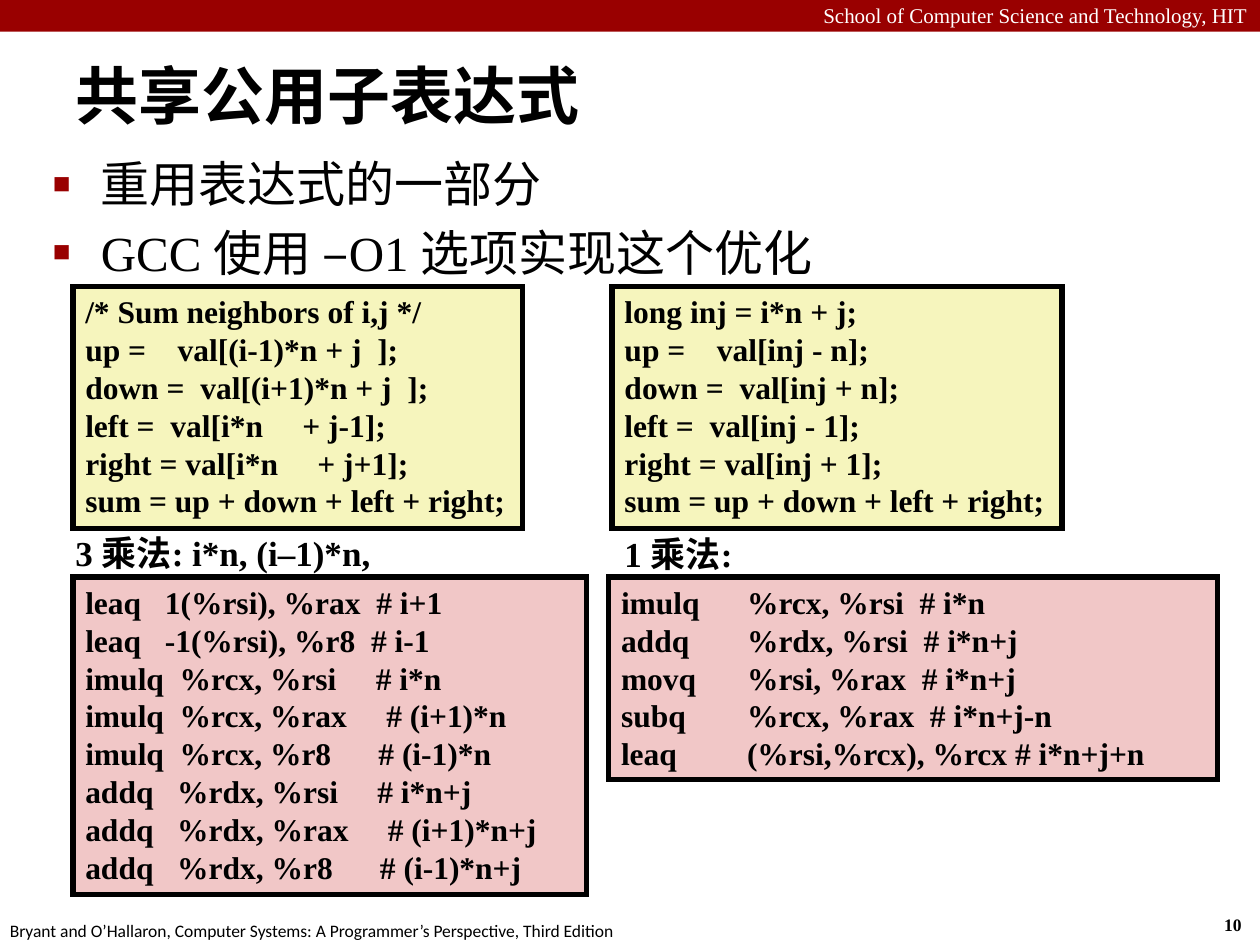
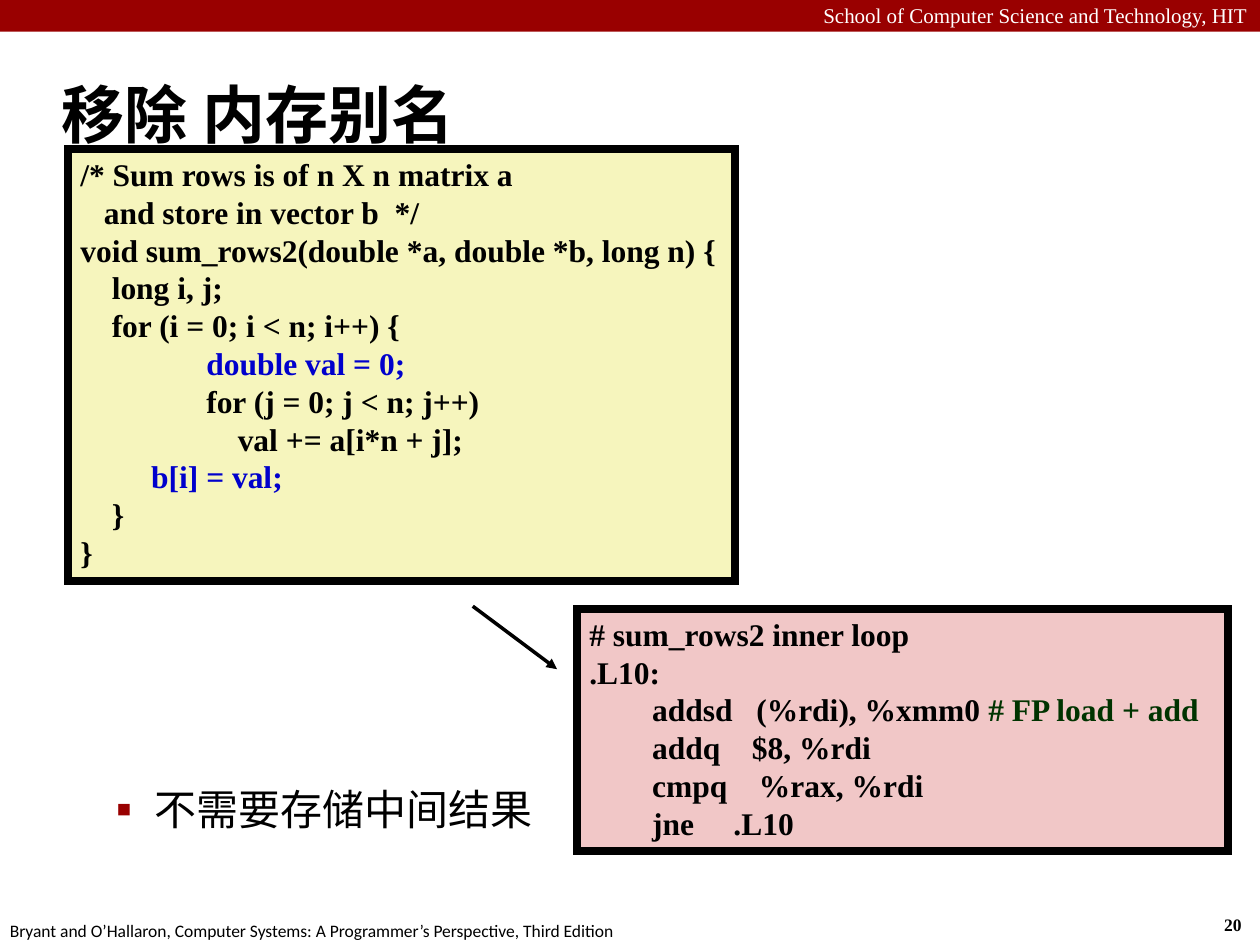
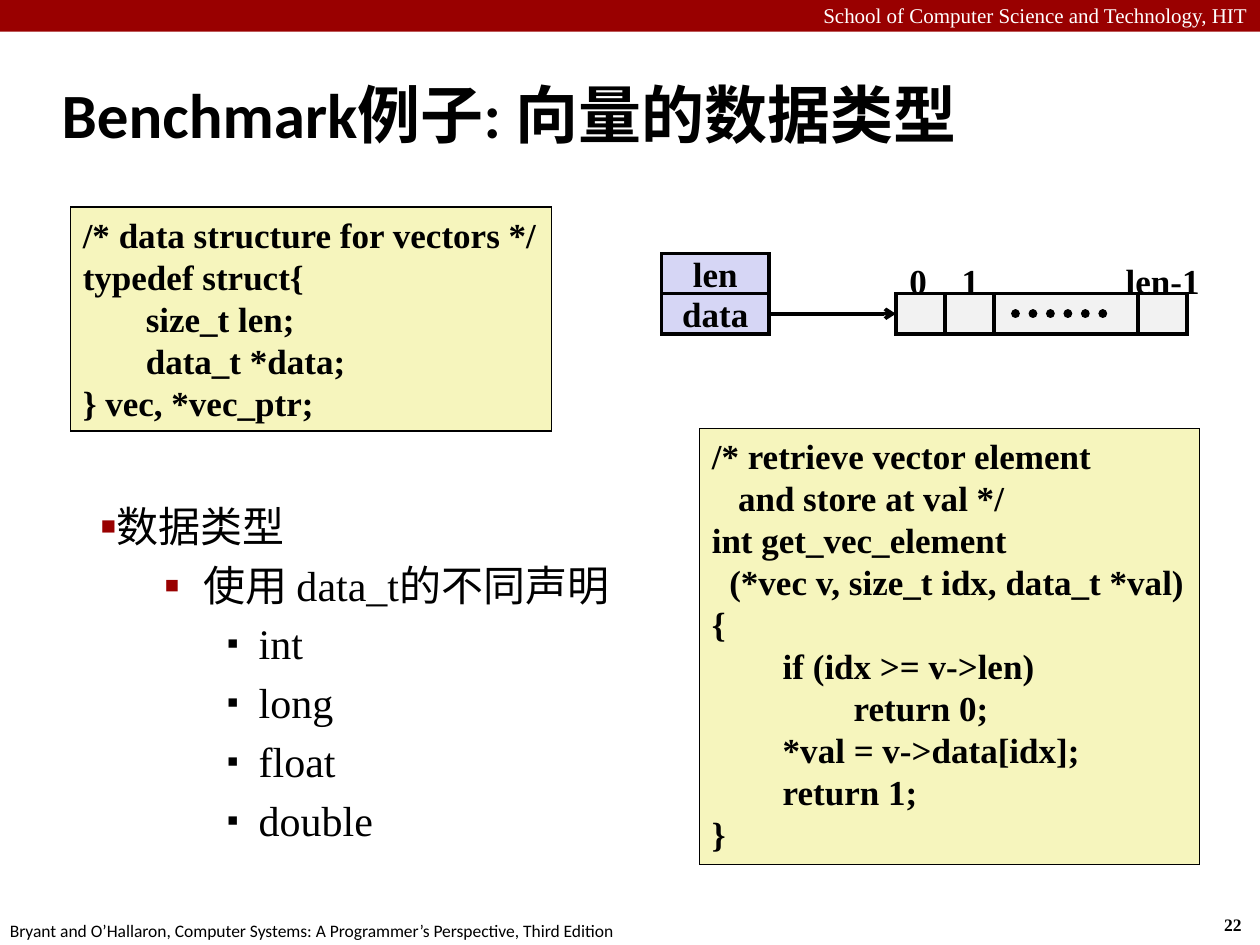
"""Build three lecture slides on code optimisation."""
from lxml.etree import SubElement as Sub
from pptx import Presentation
from pptx.dml.color import RGBColor
from pptx.enum.dml import MSO_LINE as Dash
from pptx.enum.shapes import MSO_CONNECTOR as Link, MSO_SHAPE as Kind
from pptx.enum.text import MSO_ANCHOR as Anchor, MSO_AUTO_SIZE as Fit, PP_ALIGN as Align
from pptx.oxml.ns import qn
from pptx.util import Cm, Pt

RED, BLACK, WHITE = "990000", "000000", "FFFFFF"
YELLOW, PINK, LILAC, GREY = "F6F5BD", "F1C7C7", "D6D6F5", "F2F2F2"
BLUE, GREEN = "0000CC", "003300"
SERIF, SANS = "Times New Roman", "Calibri"
SCHOOL = "School of Computer Science and Technology, HIT"
BOOK = "Bryant and O’Hallaron, Computer Systems: A Programmer’s Perspective, Third Edition"

HEAD = (0.99, 1.22, 24.41, 2.11)
TAB = 2.54
TOP = ("■", RED, 60)
SUB = ("▪", RED, 110)
LEAF = ("▪", None, 80)

SLIDES = [
    dict(
        page="10", title="共享公用子表达式", head=(1.27, 0.43, 23.29, 2.95),
        body=(0.81, 2.97, 23.09, 14.94), size=28,
        items=[(0, 0.97, -0.97, TOP, "重用表达式的一部分"),
               (0, 0.97, -0.97, TOP, "GCC 使用 –O1 选项实现这个优化")],
        notes=[((1.27, 10.59, 8.86, 1.09), "3 乘法: i*n, (i–1)*n,"),
               ((12.34, 10.62, 3.84, 1.09), "1 乘法:")],
        code=[
            ((1.47, 5.77, 9.07, 4.88), YELLOW, 3, 18, TAB, [
                "/* Sum neighbors of i,j */",
                "up =    val[(i-1)*n + j  ];",
                "down =  val[(i+1)*n + j  ];",
                "left =  val[i*n     + j-1];",
                "right = val[i*n     + j+1];",
                "sum = up + down + left + right;"]),
            ((12.34, 5.77, 9.07, 4.88), YELLOW, 3, 18, TAB, [
                "long inj = i*n + j;",
                "up =    val[inj - n];",
                "down =  val[inj + n];",
                "left =  val[inj - 1];",
                "right = val[inj + 1];",
                "sum = up + down + left + right;"]),
            ((1.47, 11.63, 10.36, 6.4), PINK, 3, 18, TAB, [
                "leaq   1(%rsi), %rax  # i+1",
                "leaq   -1(%rsi), %r8  # i-1",
                "imulq  %rcx, %rsi     # i*n",
                "imulq  %rcx, %rax     # (i+1)*n",
                "imulq  %rcx, %r8      # (i-1)*n",
                "addq   %rdx, %rsi     # i*n+j",
                "addq   %rdx, %rax     # (i+1)*n+j",
                "addq   %rdx, %r8      # (i-1)*n+j"]),
            ((12.27, 11.63, 12.27, 4.09), PINK, 3, 18, TAB, [
                "imulq\t%rcx, %rsi  # i*n",
                "addq\t%rdx, %rsi  # i*n+j",
                "movq\t%rsi, %rax  # i*n+j",
                "subq\t%rcx, %rax  # i*n+j-n",
                "leaq\t(%rsi,%rcx), %rcx # i*n+j+n"]),
        ]),
    dict(
        page="20", title="移除 内存别名", head=HEAD,
        body=(0.81, 15.67, 10.41, 2.24), size=24,
        items=[(1, 2.06, -0.79, SUB, "不需要存储中间结果")],
        notes=[],
        code=[
            ((11.63, 12.27, 13.13, 4.88), PINK, 4.5, 18, TAB, [
                "# sum_rows2 inner loop",
                ".L10:",
                [("        addsd   (%rdi), %xmm0 ", BLACK), ("# FP load + add", GREEN)],
                "        addq    $8, %rdi",
                "        cmpq    %rax, %rdi",
                "        jne     .L10"]),
            ((1.37, 3, 13.44, 8.71), YELLOW, 4.5, 18, TAB, [
                "/* Sum rows is of n X n matrix a",
                "   and store in vector b  */",
                "void sum_rows2(double *a, double *b, long n) {",
                "    long i, j;",
                "    for (i = 0; i < n; i++) {",
                [("\t", BLACK), ("double val = 0;", BLUE)],
                "\tfor (j = 0; j < n; j++)",
                "\t    val += a[i*n + j];",
                [("         ", BLACK), ("b[i] = val;", BLUE)],
                "    }",
                "}"]),
        ]),
    dict(
        page="22", title="Benchmark例子: 向量的数据类型", head=HEAD,
        body=(1.78, 9.96, 11.79, 7.85), size=24,
        items=[(0, 0, 0, TOP, "数据类型"),
               (1, 2.06, -0.79, SUB, "使用 data_t的不同声明")]
        + [(2, 3.18, -0.64, LEAF, name) for name in ("int", "long", "float", "double")],
        notes=[],
        code=[
            ((14.1, 8.64, 10.08, 8.79), YELLOW, 1, 20, 1.43, [
                "/* retrieve vector element",
                "   and store at val */",
                "int get_vec_element",
                "  (*vec v, size_t idx, data_t *val)",
                "{",
                "\tif (idx >= v->len)",
                "\t\treturn 0;",
                "\t*val = v->data[idx];",
                "\treturn 1;",
                "}"]),
            ((1.42, 4.17, 9.7, 4.52), YELLOW, 1, 20, 1.27, [
                "/* data structure for vectors */",
                "typedef struct{",
                "\tsize_t len;",
                "\tdata_t *data;",
                "} vec, *vec_ptr;"]),
        ]),
]

FIELDS = ["len", "data"]
CELLS = [0.99, 0.99, 2.9, 0.99]
MARKS = [("0", 18.51), ("1", 19.56), ("len-1", 23.44)]


def tint(code):
    return RGBColor.from_string(code)


def place(shape, box):
    shape.left, shape.top, shape.width, shape.height = map(Cm, box)


def stops(para, step):
    tabs = Sub(para._p.get_or_add_pPr(), qn("a:tabLst"))
    for n in (1, 2):
        Sub(tabs, qn("a:tab"), pos=str(Cm(step * n)), algn="l")


def bullet(para, left, hang, mark):
    char, color, scale = mark
    props = para._p.get_or_add_pPr()
    props.set("marL", str(Cm(left)))
    props.set("indent", str(Cm(hang)))
    if color:
        Sub(Sub(props, qn("a:buClr")), qn("a:srgbClr"), val=color)
    Sub(props, qn("a:buSzPct"), val=str(scale * 1000))
    Sub(props, qn("a:buChar"), char=char)


def write(para, text, size, color=BLACK, bold=True, face=SERIF):
    parts = [(text, color)] if isinstance(text, str) else text
    for words, ink in parts:
        run = para.add_run()
        run.text = words
        font = run.font
        font.name, font.size, font.bold = face, Pt(size), bold
        font.color.rgb = tint(ink)


def lines(frame, rows, size, align=Align.LEFT, tab=None, **look):
    for n, row in enumerate(rows):
        para = frame.add_paragraph() if n else frame.paragraphs[0]
        para.alignment = align
        if tab:
            stops(para, tab)
        write(para, row, size, **look)


def label(slide, box, text, size, wrap=False, **look):
    frame = slide.shapes.add_textbox(*map(Cm, box)).text_frame
    frame.word_wrap = wrap
    lines(frame, [text], size, **look)


def block(slide, box, fill, width=None):
    shape = slide.shapes.add_shape(Kind.RECTANGLE, *map(Cm, box))
    shape.shadow.inherit = False
    shape.fill.solid()
    shape.fill.fore_color.rgb = tint(fill)
    if width:
        shape.line.color.rgb = tint(BLACK)
        shape.line.width = Pt(width)
        Sub(shape.element.spPr.find(qn("a:ln")), qn("a:miter"), lim="800000")
    else:
        shape.line.fill.background()
    return shape


def link(slide, ends, width, tip=None):
    line = slide.shapes.add_connector(Link.STRAIGHT, *map(Cm, ends))
    line.line.color.rgb = tint(BLACK)
    line.line.width = Pt(width)
    props = line.element.spPr
    edge = props.find(qn("a:ln"))
    if tip:
        Sub(edge, qn("a:tailEnd"), type=tip)
    else:
        line.line.dash_style = Dash.ROUND_DOT
        edge.set("cap", "rnd")
    Sub(props, qn("a:effectLst"))


def frame_up(slide, page):
    block(slide, (0, 0, 25.4, 0.64), RED)
    label(slide, (0, -0.08, 25.4, 0.76), SCHOOL, 12, True,
          align=Align.RIGHT, color=WHITE, bold=False)
    label(slide, (24.43, 18.31, 0.94, 0.69), page, 10)
    label(slide, (-0.05, 18.42, 12.9, 0.69), BOOK, 10, bold=False, face=SANS)


def fill_in(slide, data):
    title, body = slide.placeholders
    place(title, data["head"])
    place(body, data["body"])
    for item in (title, body):
        item.text_frame.auto_size = Fit.NONE
    title.text_frame.vertical_anchor = Anchor.MIDDLE
    lines(title.text_frame, [data["title"]], 36, face=SANS)
    frame, size = body.text_frame, data["size"]
    for n, (level, left, hang, mark, text) in enumerate(data["items"]):
        para = frame.add_paragraph() if n else frame.paragraphs[0]
        para.level = level
        bullet(para, left, hang, mark)
        para.space_before = Pt(0.2 * size if n else 0)
        write(para, text, size, bold=False)


def code_box(slide, box, fill, width, size, tab, rows):
    frame = block(slide, box, fill, width).text_frame
    frame.word_wrap = True
    frame.vertical_anchor = Anchor.TOP
    lines(frame, rows, size, tab=tab)


def vector(slide):
    high, top, left = 0.81, 5.11, 18.06
    for n, name in enumerate(FIELDS):
        frame = block(slide, (13.34, top + n * high, 2.16, high), LILAC, 2).text_frame
        frame.word_wrap = False
        frame.vertical_anchor = Anchor.MIDDLE
        lines(frame, [name], 20, Align.CENTER)
    for n, wide in enumerate(CELLS):
        block(slide, (left + sum(CELLS[:n]), top + high, wide, high), GREY, 2)
    mid = top + 1.5 * high
    link(slide, (15.5, mid, left, mid), 2, "arrow")
    link(slide, (20.47, mid, 22.5, mid), 5)
    for name, x in MARKS:
        label(slide, (x - 1, top, 2, 1.12), name, 20, align=Align.CENTER)


def main():
    deck = Presentation()
    deck.slide_width, deck.slide_height = Cm(25.4), Cm(19.05)
    made = []
    for data in SLIDES:
        slide = deck.slides.add_slide(deck.slide_layouts[1])
        fill_in(slide, data)
        frame_up(slide, data["page"])
        for box, text in data["notes"]:
            label(slide, box, text, 20, True)
        for row in data["code"]:
            code_box(slide, *row)
        made.append(slide)
    link(made[1], (9.53, 12.22, 11.23, 13.49), 2, "triangle")
    vector(made[2])
    deck.save("out.pptx")


if __name__ == "__main__":
    main()
